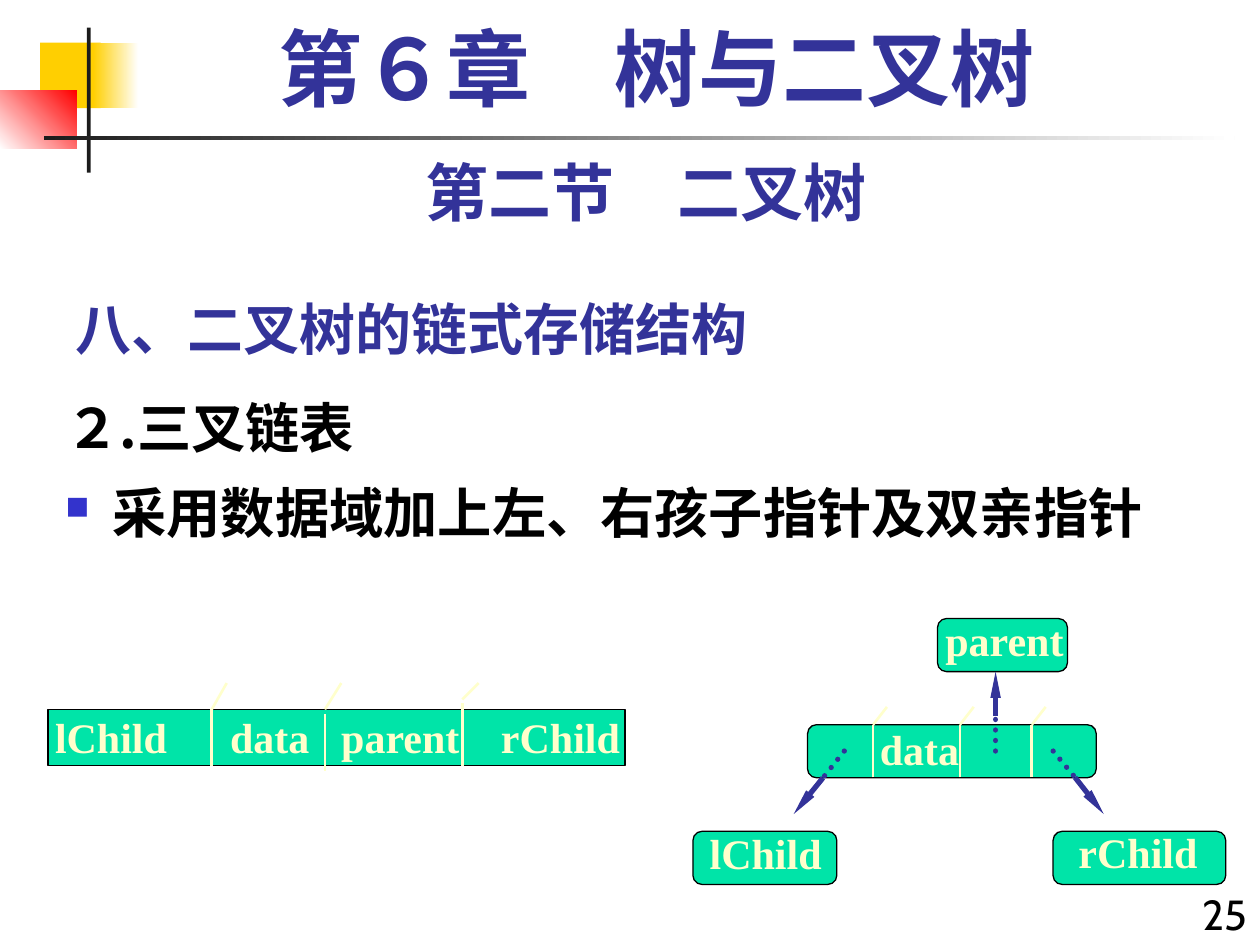
from lxml import etree
from pptx import Presentation
from pptx.dml.color import RGBColor
from pptx.enum.dml import MSO_LINE
from pptx.enum.shapes import MSO_CONNECTOR, MSO_SHAPE
from pptx.enum.text import MSO_ANCHOR, PP_ALIGN
from pptx.oxml.ns import qn
from pptx.util import Cm, Pt

RECT, ROUNDED = MSO_SHAPE.RECTANGLE, MSO_SHAPE.ROUNDED_RECTANGLE
STRAIGHT, DOTTED = MSO_CONNECTOR.STRAIGHT, MSO_LINE.ROUND_DOT
LEFT, CENTER, RIGHT = PP_ALIGN.LEFT, PP_ALIGN.CENTER, PP_ALIGN.RIGHT
TOP, MIDDLE, BOTTOM = MSO_ANCHOR.TOP, MSO_ANCHOR.MIDDLE, MSO_ANCHOR.BOTTOM

WHITE = RGBColor(0xFF, 0xFF, 0xFF)
BLACK = RGBColor(0x00, 0x00, 0x00)
CHARCOAL = RGBColor(0x1C, 0x1C, 0x1C)
YELLOW = RGBColor(0xFF, 0xCF, 0x01)
RED = RGBColor(0xFF, 0x00, 0x00)
INDIGO = RGBColor(0x33, 0x33, 0x99)
BULLET_BLUE = RGBColor(0x33, 0x33, 0xCC)
GREEN = RGBColor(0x00, 0xE4, 0xA8)
CREAM = RGBColor(0xFF, 0xFF, 0xCC)

CJK, SERIF, SANS = "Noto Sans CJK SC", "Times New Roman", "Cabin"
FORMATS = {
    "title": ({"name": SERIF, "size": Pt(48), "bold": True}, INDIGO),
    "section": ({"name": SANS, "size": Pt(36), "bold": True}, INDIGO),
    "heading": ({"name": CJK, "size": Pt(32), "bold": True}, INDIGO),
    "body": ({"name": CJK, "size": Pt(31), "bold": True}, BLACK),
    "number": ({"name": SANS, "size": Pt(24), "bold": False}, BLACK),
    "label": ({"name": SERIF, "size": Pt(24), "bold": True}, CREAM),
}


class SlideBuilder:
    """Draws styled elements, measured in centimetres, on the current slide."""

    def __init__(self, deck):
        self.page = deck.slides.add_slide(deck.slide_layouts[6])

    def shape(self, at, fill, fade=None, angle=0, kind=RECT, border=None):
        shape = self.page.shapes.add_shape(kind, *map(Cm, at))
        shape.shadow.inherit = False
        if fade is None:
            shape.fill.solid()
            shape.fill.fore_color.rgb = fill
        else:
            shape.fill.gradient()
            shape.fill.gradient_angle = angle
            for stop, color in zip(shape.fill.gradient_stops, (fill, fade)):
                stop.color.rgb = color
        if border is None:
            shape.line.fill.background()
        else:
            shape.line.color.rgb = border
            shape.line.width = Pt(0.75)
        return shape

    def text(self, at, lines, style, align=LEFT, anchor=TOP, wrap=True):
        box = self.page.shapes.add_textbox(*map(Cm, at))
        frame = box.text_frame
        frame.word_wrap = wrap
        frame.vertical_anchor = anchor
        values, color = FORMATS[style]
        for index, line in enumerate(lines):
            para = frame.add_paragraph() if index else frame.paragraphs[0]
            para.alignment = align
            span = para.add_run()
            span.text = line
            for name, value in values.items():
                setattr(span.font, name, value)
            span.font.color.rgb = color
            etree.SubElement(span.font._element, qn("a:ea"), typeface=CJK)
        return frame.paragraphs

    def bullet(self, para, indent):
        props = para._p.get_or_add_pPr()
        props.set("marL", str(Cm(indent)))
        props.set("indent", str(-Cm(indent)))
        color = etree.SubElement(props, qn("a:buClr"))
        etree.SubElement(color, qn("a:srgbClr"), val=str(BULLET_BLUE))
        etree.SubElement(props, qn("a:buSzPct"), val="60000")
        etree.SubElement(props, qn("a:buChar"), char="■")

    def tabs(self, para, stops):
        tab_list = etree.SubElement(para._p.get_or_add_pPr(), qn("a:tabLst"))
        for stop in stops:
            etree.SubElement(tab_list, qn("a:tab"), pos=str(Cm(stop)), algn="l")

    def line(self, start, end, color=CREAM, width=1.5, dotted=False, arrow=False):
        line = self.page.shapes.add_connector(STRAIGHT, *map(Cm, (*start, *end)))
        line.line.color.rgb = color
        line.line.width = Pt(width)
        outline = line.line._get_or_add_ln()
        if dotted:
            line.line.dash_style = DOTTED
            outline.set("cap", "rnd")
        if arrow:
            etree.SubElement(outline, qn("a:tailEnd"), type="triangle", w="sm", len="lg")
        etree.SubElement(line._element.spPr, qn("a:effectLst"))

    def divider(self, x, bottom, top, tick_start, tick_end):
        self.line((x, bottom), (x, top))
        self.line((x, tick_start), tick_end)

    def node(self, at, label, label_at):
        if label_at[0] < at[0] + at[2]:
            shape = self.shape(at, GREEN, kind=ROUNDED, border=BLACK)
            shape.adjustments[0] = 0.17
        self.text(label_at, [label], "label", CENTER, MIDDLE, wrap=False)

    def pointer(self, start, edge, tip):
        self.line(start, edge, INDIGO, 3, dotted=True)
        self.line(edge, tip, INDIGO, 3, arrow=True)


def main():
    deck = Presentation()
    deck.slide_width, deck.slide_height = Cm(25.4), Cm(19.05)
    slide = SlideBuilder(deck)

    slide.shape((0.81, 0.86, 1.22, 1.32), YELLOW)
    slide.shape((1.88, 0.86, 0.91, 1.32), YELLOW, WHITE)
    slide.shape((0, 1.83, 1.55, 1.17), WHITE, RED, angle=45)
    slide.shape((1.75, 0.56, 0.08, 2.92), CHARCOAL)
    slide.shape((0.89, 2.74, 24, 0.08), CHARCOAL, WHITE)

    slide.text((1.27, 5.51, 15.88, 1.9), ["八、二叉树的链式存储结构"], "heading", anchor=BOTTOM)
    slide.text((23.7, 17.78, 1.7, 1.5), ["25"], "number", RIGHT)
    slide.text((1.27, 2.97, 23.5, 1.78), ["第二节\u3000二叉树".replace("\u3000", "　")], "section", CENTER)
    body = slide.text(
        (1.07, 7.82, 24.33, 11.23),
        ["２.三叉链表", "采用数据域加上左、右孩子指针及双亲指针"],
        "body",
    )
    body[1].space_before = Pt(11.6)
    slide.bullet(body[1], 0.95)
    title = slide.text((1.7, 0.43, 23.06, 2.11), ["第６章　树与二叉树"], "title", CENTER)
    title[0].line_spacing = 0.9

    slide.shape((0.97, 14.3, 11.63, 1.14), GREEN, border=BLACK)
    fields = slide.text(
        (0.86, 14.22, 12.2, 1.27), ["lChild\tdata\tparent\trChild"], "label", anchor=MIDDLE
    )
    slide.tabs(fields[0], (3.53, 5.77, 8.99))
    for x, bottom, top, tick_start, tick_x in (
        (4.27, 15.44, 14.3, 14.3, 4.57),
        (6.55, 15.54, 14.4, 14.3, 6.88),
        (9.32, 15.44, 14.17, 14.1, 9.65),
    ):
        slide.divider(x, bottom, top, tick_start, (tick_x, 13.77))

    for left, top, width, label, label_left, label_top, label_width in (
        (18.9, 12.47, 2.62, "parent", 18.8, 12.27, 2.9),
        (16.28, 14.61, 5.82, "data", 17.48, 14.45, 2.11),
        (21.23, 16.76, 3.48, "rChild", 21.49, 16.54, 2.9),
        (13.97, 16.76, 2.9, "lChild", 14.05, 16.56, 2.77),
    ):
        slide.node((left, top, width, 1.07), label, (label_left, label_top, label_width, 1.27))
    for x in (17.6, 19.35, 20.8):
        slide.divider(x, 15.67, 14.61, 14.61, (x + 0.28, 14.25))
    for start_x, edge, tip in (
        (20.07, (20.07, 14.43), (20.07, 13.54)),
        (17.02, (16.59, 15.68), (16, 16.41)),
        (21.23, (21.67, 15.67), (22.25, 16.41)),
    ):
        slide.pointer((start_x, 15.14), edge, tip)

    deck.save("out.pptx")


if __name__ == "__main__":
    main()
